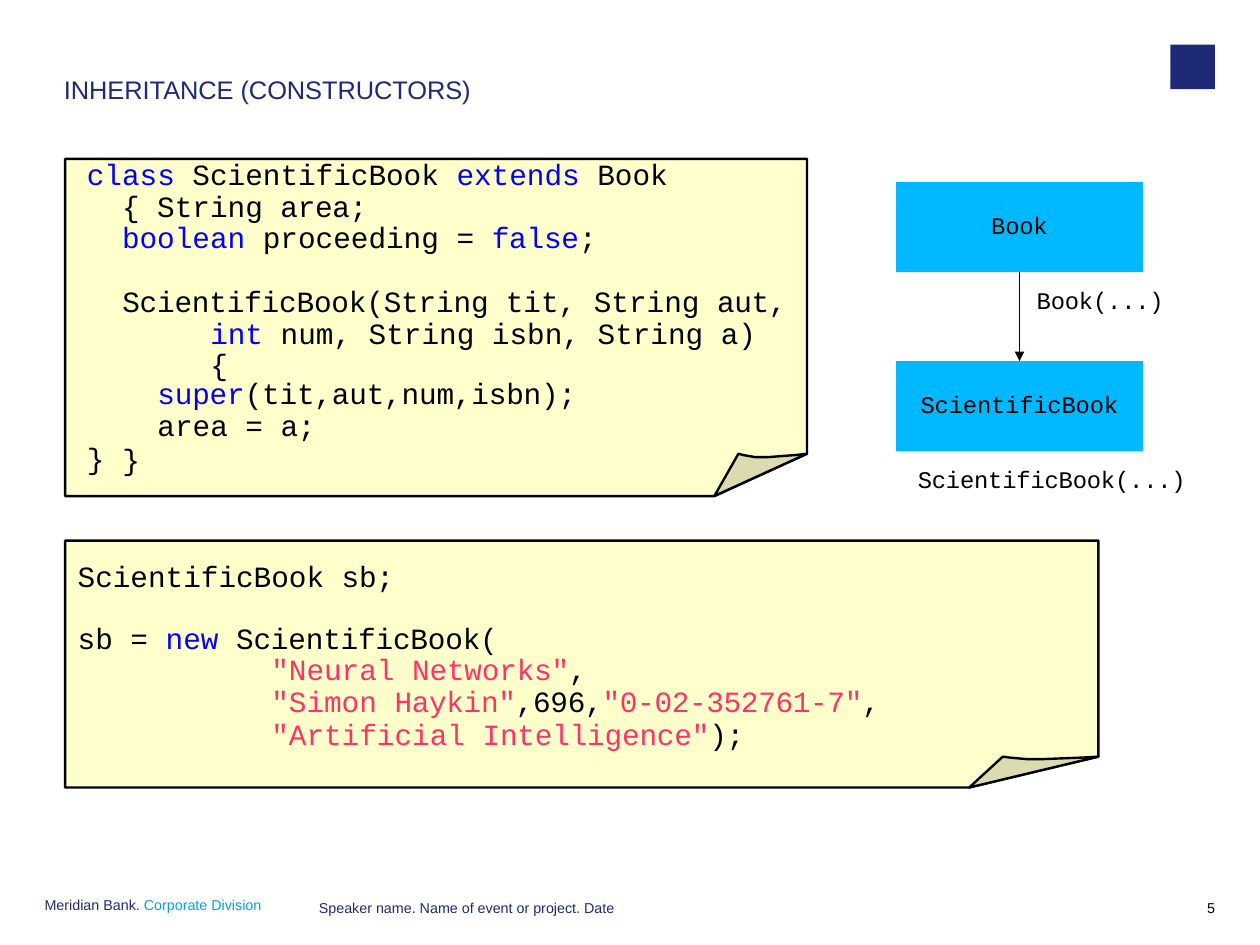
"""Build a slide on constructors and inheritance: two code notes and a class diagram."""
from dataclasses import dataclass

from lxml import etree
from pptx import Presentation
from pptx.dml.color import RGBColor
from pptx.enum.shapes import MSO_CONNECTOR, MSO_SHAPE
from pptx.enum.text import MSO_ANCHOR, PP_ALIGN
from pptx.oxml.ns import qn
from pptx.util import Inches, Pt

STRAIGHT = MSO_CONNECTOR.STRAIGHT
RECTANGLE = MSO_SHAPE.RECTANGLE
MIDDLE, TOP = MSO_ANCHOR.MIDDLE, MSO_ANCHOR.TOP
LEFT, CENTER, RIGHT = PP_ALIGN.LEFT, PP_ALIGN.CENTER, PP_ALIGN.RIGHT

CM_PER_INCH = 2.54
SANS, MONO = "Arial", "Courier New"
NAVY, CYAN, BLACK = "1E2A78", "00A3E0", "000000"
KEYWORD, STRING = "0000FF", "FF3366"
PAPER, FOLD, CLASS_FILL = "FFFFCC", "DBDBAF", "00B8FF"
CODE_SIZE = 18.5
CODE_CHAR = 0.154
FOLD_CURL = [(0.88, 0.03), (0.58, 0.08), (0.44, 0.08), (0.31, 0.03), (0.26, 0)]

Point = tuple[float, float]


@dataclass
class Span:
    text: str
    color: str = BLACK
    tracking: float = 0


@dataclass
class Line:
    spans: list[Span]
    indent: int = 0
    hanging: int = 0
    pitch: float = 19.9
    before: float = 0


@dataclass
class Code:
    left: float
    top: float
    width: float
    height: float
    lines: list[Line]


@dataclass
class Note:
    left: float
    top: float
    right: float
    bottom: float
    fold_width: float
    fold_height: float


@dataclass
class Label:
    left: float
    top: float
    width: float
    height: float
    spans: list[Span]
    size: float
    font: str = SANS
    align: PP_ALIGN = LEFT
    spacing: float | Pt | None = None


NOTES = [Note(0.57, 1.39, 7.06, 4.34, 0.81, 0.37), Note(0.57, 4.73, 9.61, 6.89, 1.13, 0.27)]

CODES = [
    Code(0.76, 1.4, 5.38, 0.85, [
        Line([Span("class ", KEYWORD), Span("ScientificBook "), Span("extends ", KEYWORD),
              Span("Book { String "), Span("area;", tracking=-0.2)], 2, 2),
        Line([Span("boolean ", KEYWORD), Span("proceeding = "),
              Span("false", KEYWORD, -0.1), Span(";", tracking=-0.1)], 2, pitch=19.6),
    ]),
    Code(1.07, 2.51, 5.83, 1.39, [
        Line([Span("ScientificBook(String ", tracking=-0.1), Span("tit, String "),
              Span("aut, ", tracking=-0.2), Span("int ", KEYWORD),
              Span("num, String isbn, String a) {")], 5, 5),
        Line([Span("super", KEYWORD, -0.1),
              Span("(tit,aut,num,isbn);", tracking=-0.1)], 2, pitch=18.4),
        Line([Span("area = "), Span("a;", tracking=-0.2)], 2),
        Line([Span("}")], pitch=21.1),
    ]),
    Code(0.76, 3.87, 0.17, 0.32, [Line([Span("}")], pitch=21.1)]),
    Code(0.68, 4.9, 7.06, 1.69, [
        Line([Span("ScientificBook "), Span("sb;", tracking=-0.2)], pitch=21.1),
        Line([Span("sb = "), Span("new ", KEYWORD),
              Span("ScientificBook(", tracking=-0.1)], pitch=21.1, before=17.6),
        Line([Span('"Neural ', STRING), Span('Networks"', STRING, -0.1),
              Span(",", tracking=-0.1)], 11),
        Line([Span('"Simon ', STRING), Span('Haykin"', STRING, -0.2),
              Span(",696,", tracking=-0.2), Span('"0-02-352761-7"', STRING, -0.2),
              Span(",", tracking=-0.2)], 11),
        Line([Span('"Artificial ', STRING), Span('Intelligence"', STRING, -0.1),
              Span(");", tracking=-0.1)], 11, pitch=21.1),
    ]),
]

LABELS = [
    Label(0.56, 0.68, 9.47, 0.61, [Span("INHERITANCE (CONSTRUCTORS)", NAVY)], 16, spacing=0.9),
    Label(9.07, 2.5, 1.15, 0.26, [Span("Book(...)", tracking=-0.1)], 15, MONO),
    Label(8.03, 4.07, 2.4, 0.26, [Span("ScientificBook(...)", tracking=-0.1)], 15, MONO),
    Label(0.39, 7.87, 2.19, 0.2,
          [Span("Meridian Bank. ", NAVY), Span("Corporate Division", CYAN)], 9, spacing=Pt(9)),
    Label(2.79, 7.89, 5.4, 0.2,
          [Span("Speaker name. Name of event or project. Date", NAVY)], 9, spacing=Pt(9)),
    Label(10.24, 7.89, 0.39, 0.2, [Span("5")], 9, align=RIGHT, spacing=Pt(9)),
]

CLASS_TOPS = {"Book": 1.59, "ScientificBook": 3.16}


def rgb(color: str) -> RGBColor:
    return RGBColor.from_string(color)


def add_spans(paragraph, spans: list[Span], size: float, font: str) -> None:
    for span in spans:
        run = paragraph.add_run()
        run.text = span.text
        run.font.size, run.font.name = Pt(size), font
        run.font.color.rgb = rgb(span.color)
        if span.tracking:
            run._r.get_or_add_rPr().set("spc", str(round(span.tracking * 100)))


def clear_frame(frame, anchor: MSO_ANCHOR) -> None:
    frame.margin_left = frame.margin_right = frame.margin_top = frame.margin_bottom = 0
    frame.word_wrap = True
    frame.vertical_anchor = anchor


def add_frame(slide, area: Label | Code):
    box = slide.shapes.add_textbox(Inches(area.left), Inches(area.top),
                                   Inches(area.width), Inches(area.height))
    clear_frame(box.text_frame, TOP)
    return box.text_frame


def add_label(slide, label: Label) -> None:
    paragraph = add_frame(slide, label).paragraphs[0]
    paragraph.alignment = label.align
    paragraph.line_spacing = label.spacing
    add_spans(paragraph, label.spans, label.size, label.font)


def add_code(slide, code: Code) -> None:
    frame = add_frame(slide, code)
    for number, line in enumerate(code.lines):
        paragraph = frame.add_paragraph() if number else frame.paragraphs[0]
        paragraph.line_spacing = Pt(line.pitch)
        if line.before:
            paragraph.space_before = Pt(line.before)
        properties = paragraph._p.get_or_add_pPr()
        properties.set("marL", str(Inches(line.indent * CODE_CHAR)))
        properties.set("indent", str(Inches(-line.hanging * CODE_CHAR)))
        add_spans(paragraph, line.spans, CODE_SIZE, MONO)


def add_outline(slide, points: list[Point], fill: str) -> None:
    corners = [(Inches(x), Inches(y)) for x, y in points]
    builder = slide.shapes.build_freeform(*corners[0])
    builder.add_line_segments(corners[1:], close=True)
    outline = builder.convert_to_shape()
    outline.shadow.inherit = False
    outline.fill.solid()
    outline.fill.fore_color.rgb = rgb(fill)
    outline.line.color.rgb = rgb(BLACK)
    outline.line.width = Pt(1.5)


def add_note(slide, note: Note) -> None:
    fold_left, fold_top = note.right - note.fold_width, note.bottom - note.fold_height
    tip, foot = (note.right, fold_top), (fold_left, note.bottom)
    curl = [(fold_left + x * note.fold_width, fold_top + y * note.fold_height)
            for x, y in FOLD_CURL]
    add_outline(slide, [tip, (note.right, note.top), (note.left, note.top),
                        (note.left, note.bottom), foot], PAPER)
    add_outline(slide, [tip, *curl, foot], FOLD)


def add_block(slide, left: float, top: float, width: float, height: float, fill: str):
    block = slide.shapes.add_shape(RECTANGLE, Inches(left), Inches(top),
                                   Inches(width), Inches(height))
    block.shadow.inherit = False
    block.fill.solid()
    block.fill.fore_color.rgb = rgb(fill)
    block.line.fill.background()
    return block


def add_class(slide, name: str, top: float):
    block = add_block(slide, 7.84, top, 2.16, 0.79, CLASS_FILL)
    clear_frame(block.text_frame, MIDDLE)
    block.text_frame.margin_bottom = Inches(0.04)
    paragraph = block.text_frame.paragraphs[0]
    paragraph.alignment = CENTER
    add_spans(paragraph, [Span(name, tracking=-0.1)], 15, MONO)
    return block


def add_arrow(slide, parent, child) -> None:
    arrow = slide.shapes.add_connector(STRAIGHT, 0, 0, 0, 0)
    arrow.begin_connect(parent, 2)
    arrow.end_connect(child, 0)
    arrow.line.color.rgb = rgb(BLACK)
    arrow.line.width = Pt(1)
    etree.SubElement(arrow.line._get_or_add_ln(), qn("a:tailEnd"), type="triangle")
    etree.SubElement(arrow._element.spPr, qn("a:effectLst"))


def main() -> None:
    deck = Presentation()
    deck.slide_width, deck.slide_height = Inches(28 / CM_PER_INCH), Inches(21 / CM_PER_INCH)
    slide = deck.slides.add_slide(deck.slide_layouts[6])
    add_block(slide, 10.24, 0.39, 0.39, 0.39, NAVY)
    for note in NOTES:
        add_note(slide, note)
    for code in CODES:
        add_code(slide, code)
    parent, child = [add_class(slide, name, top) for name, top in CLASS_TOPS.items()]
    add_arrow(slide, parent, child)
    for label in LABELS:
        add_label(slide, label)
    deck.save("out.pptx")


if __name__ == "__main__":
    main()
